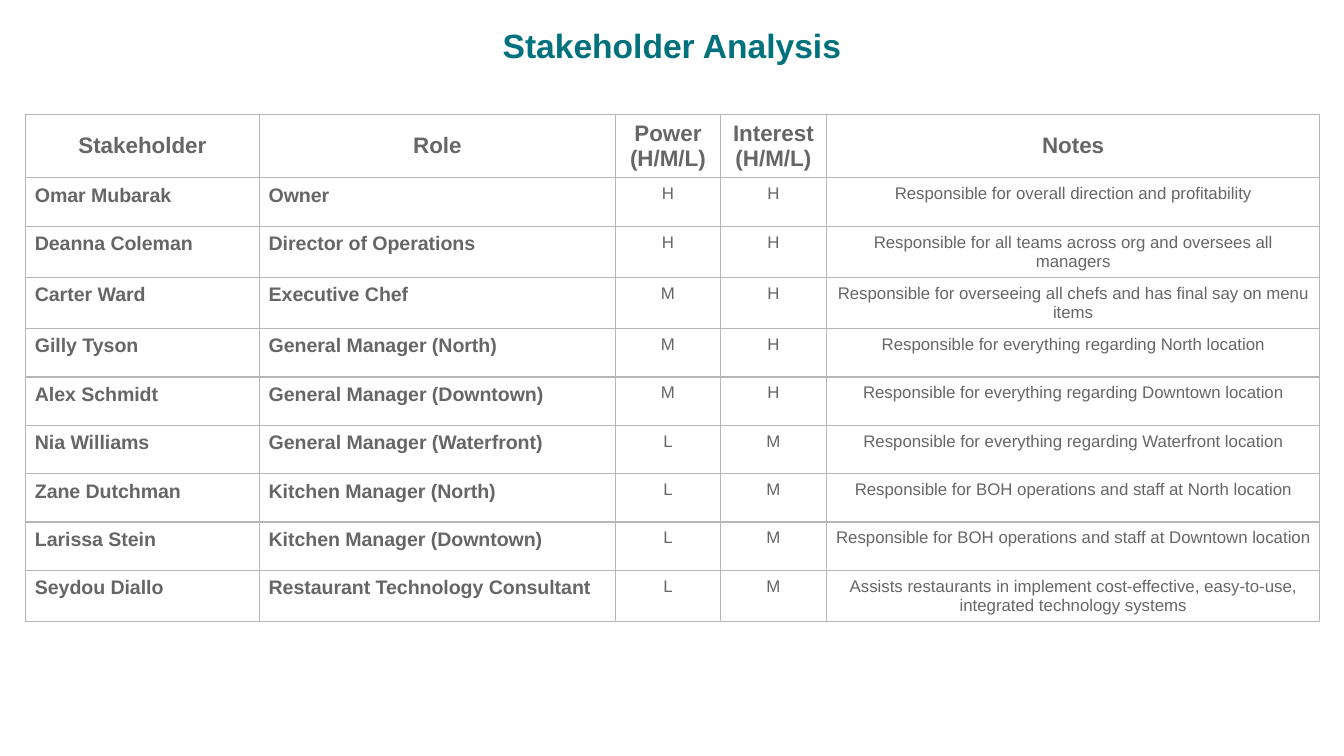
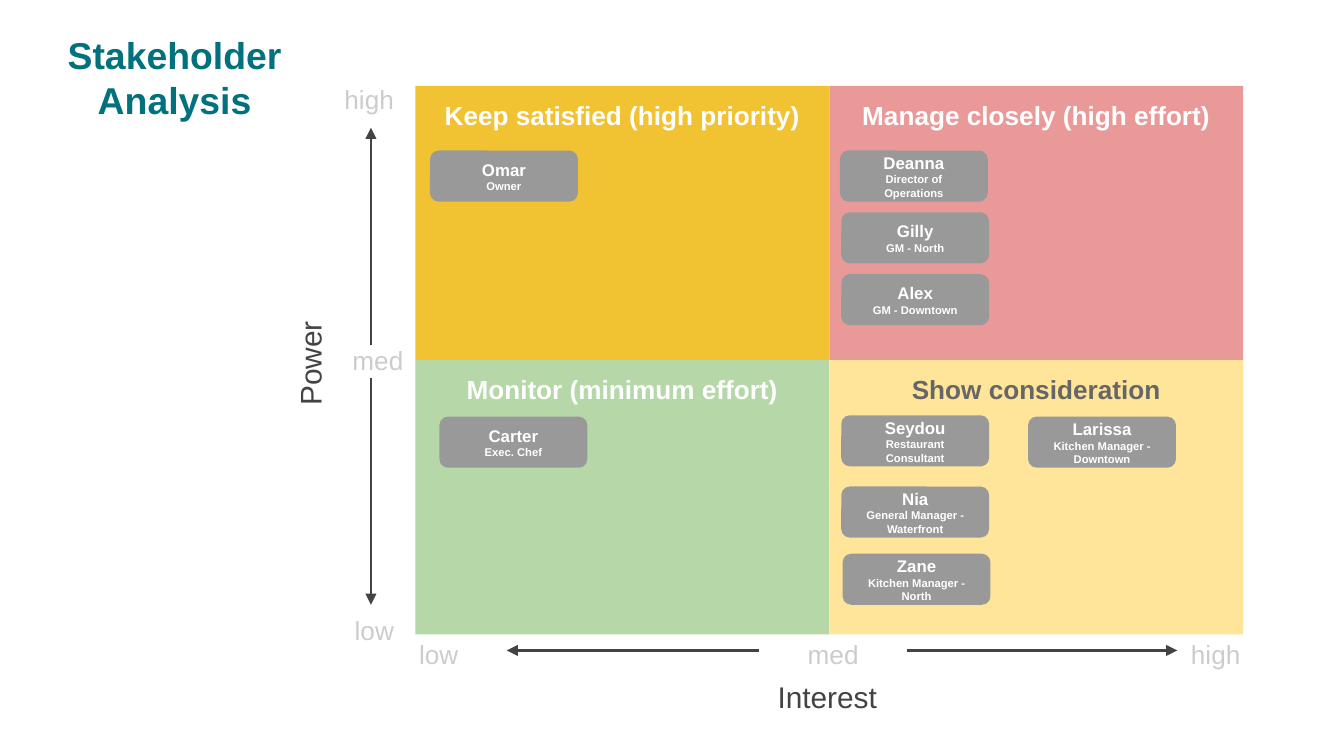
from lxml import etree
from pptx import Presentation
from pptx.dml.color import RGBColor
from pptx.enum.shapes import MSO_CONNECTOR, MSO_SHAPE
from pptx.enum.text import MSO_ANCHOR, PP_ALIGN
from pptx.oxml.ns import qn
from pptx.util import Inches, Pt

LEFT, CENTER, RIGHT = PP_ALIGN.LEFT, PP_ALIGN.CENTER, PP_ALIGN.RIGHT
TOP, MIDDLE = MSO_ANCHOR.TOP, MSO_ANCHOR.MIDDLE
RECT, ROUNDED = MSO_SHAPE.RECTANGLE, MSO_SHAPE.ROUNDED_RECTANGLE
STRAIGHT = MSO_CONNECTOR.STRAIGHT

TEAL = RGBColor(0x00, 0x71, 0x7D)
DARK = RGBColor(0x43, 0x43, 0x43)
GRAY = RGBColor(0x66, 0x66, 0x66)
CARD_GRAY = RGBColor(0x99, 0x99, 0x99)
BORDER_GRAY = RGBColor(0xB7, 0xB7, 0xB7)
LABEL_GRAY = RGBColor(0xCC, 0xCC, 0xCC)
WHITE = RGBColor(0xFF, 0xFF, 0xFF)
GOLD = RGBColor(0xF1, 0xC2, 0x32)
ROSE = RGBColor(0xEA, 0x99, 0x99)
GREEN = RGBColor(0xB6, 0xD7, 0xA8)
CREAM = RGBColor(0xFF, 0xE5, 0x99)

SLIDE_W, SLIDE_H = 10, 5.625
FONT = "Arial"

# Text styles: size, bold, colour
TITLE = (18, True, TEAL)
MATRIX_TITLE = (20, True, TEAL)
TABLE_HEAD = (12, True, GRAY)
TABLE_NAME = (10.5, True, GRAY)
TABLE_BODY = (9, False, GRAY)
AXIS_NAME = (16, False, DARK)
AXIS_LABEL = (14, False, LABEL_GRAY)
CARD_NAME = (9, True, WHITE)
CARD_ROLE = (6, True, WHITE)

# Stakeholder table
COLUMN_WIDTHS = [1.74, 2.65, 0.78, 0.79, 3.67]
HEAD_HEIGHT, ROW_HEIGHT = 0.28, 0.36
HEADINGS = ["Stakeholder", "Role", "Power (H/M/L)", "Interest (H/M/L)", "Notes"]
STAKEHOLDERS = [
    ("Omar Mubarak", "Owner", "H", "H",
     "Responsible for overall direction and profitability"),
    ("Deanna Coleman", "Director of Operations", "H", "H",
     "Responsible for all teams across org and oversees all managers"),
    ("Carter Ward", "Executive Chef", "M", "H",
     "Responsible for overseeing all chefs and has final say on menu items"),
    ("Gilly Tyson", "General Manager (North)", "M", "H",
     "Responsible for everything regarding North location"),
    ("Alex Schmidt", "General Manager (Downtown)", "M", "H",
     "Responsible for everything regarding Downtown location"),
    ("Nia Williams", "General Manager (Waterfront)", "L", "M",
     "Responsible for everything regarding Waterfront location"),
    ("Zane Dutchman", "Kitchen Manager (North)", "L", "M",
     "Responsible for BOH operations and staff at North location"),
    ("Larissa Stein", "Kitchen Manager (Downtown)", "L", "M",
     "Responsible for BOH operations and staff at Downtown location"),
    ("Seydou Diallo", "Restaurant Technology Consultant", "L", "M",
     "Assists restaurants in implement cost-effective, easy-to-use, "
     "integrated technology systems"),
]

# Power and interest matrix; cards are placed from their quadrant's corner
MATRIX_X, MATRIX_Y = 3.09, 0.64
QUAD_W, QUAD_H = 3.08, 2.04
CARD_W, CARD_H = 1.1, 0.38
QUADRANTS = [
    (0, 0, "Keep satisfied (high priority)", GOLD, WHITE,
     [(0.11, 0.48, "Omar", "Owner")]),
    (1, 0, "Manage closely (high effort)", ROSE, WHITE,
     [(0.08, 0.48, "Deanna", "Director of Operations"),
      (0.09, 0.94, "Gilly", "GM - North"),
      (0.09, 1.4, "Alex", "GM - Downtown")]),
    (0, 1, "Monitor (minimum effort)", GREEN, WHITE,
     [(0.18, 0.42, "Carter", "Exec. Chef")]),
    (1, 1, "Show consideration", CREAM, GRAY,
     [(0.09, 0.41, "Seydou", "Restaurant Consultant"),
      (0.09, 0.94, "Nia", "General Manager - Waterfront"),
      (0.1, 1.44, "Zane", "Kitchen Manager - North"),
      (1.48, 0.42, "Larissa", "Kitchen Manager - Downtown")]),
]
POWER_X = 2.76
INTEREST_Y = 4.84
ARROWS = [
    (POWER_X, 2.57, POWER_X, 0.95),
    (POWER_X, 2.81, POWER_X, 4.5),
    (6.75, INTEREST_Y, 8.76, INTEREST_Y),
    (5.65, INTEREST_Y, 3.77, INTEREST_Y),
]
LEVELS = [
    ("high", (1.7, 0.52, 1.33, 0.26), RIGHT),
    ("med", (2.42, 2.46, 0.68, 0.44), RIGHT),
    ("low", (1.7, 4.47, 1.33, 0.26), RIGHT),
    ("low", (2.76, 4.65, 1.01, 0.38), CENTER),
    ("med", (5.65, 4.65, 1.1, 0.38), CENTER),
    ("high", (8.54, 4.65, 1.01, 0.38), CENTER),
]


def inches(values):
    return [Inches(value) for value in values]


def write(frame, lines, align=CENTER, spacing=None):
    """Fill a text frame with (text, style) lines, one paragraph each."""
    for index, (text, (size, bold, color)) in enumerate(lines):
        paragraph = frame.add_paragraph() if index else frame.paragraphs[0]
        paragraph.alignment = align
        if spacing:
            paragraph.line_spacing = spacing
        run = paragraph.add_run()
        run.text = text
        looks = {"name": FONT, "size": Pt(size), "bold": bold}
        for attribute, value in looks.items():
            setattr(run.font, attribute, value)
        run.font.color.rgb = color


def set_frame(frame, anchor=TOP, inset_y=0.1):
    settings = {
        "word_wrap": True, "vertical_anchor": anchor,
        "margin_left": Inches(0.1), "margin_right": Inches(0.1),
        "margin_top": Inches(inset_y), "margin_bottom": Inches(inset_y),
    }
    for attribute, value in settings.items():
        setattr(frame, attribute, value)


def add_label(slide, box, lines, align=CENTER, anchor=TOP, inset_y=0.1,
              spacing=None, rotation=0):
    label = slide.shapes.add_textbox(*inches(box))
    label.rotation = rotation
    set_frame(label.text_frame, anchor, inset_y)
    write(label.text_frame, lines, align, spacing)


def add_block(slide, outline, box, fill, lines, anchor=TOP):
    block = slide.shapes.add_shape(outline, *inches(box))
    block.shadow.inherit = False
    block.fill.solid()
    block.fill.fore_color.rgb = fill
    block.line.fill.background()
    set_frame(block.text_frame, anchor)
    write(block.text_frame, lines)


def add_arrow(slide, ends):
    arrow = slide.shapes.add_connector(STRAIGHT, *inches(ends))
    arrow.line.color.rgb = DARK
    arrow.line.width = Pt(1.5)
    line = arrow.line._get_or_add_ln()
    etree.SubElement(line, qn("a:tailEnd"), type="triangle")
    etree.SubElement(arrow._element.spPr, qn("a:effectLst"))


def set_borders(cell):
    properties = cell._tc.get_or_add_tcPr()
    for position, side in enumerate(("a:lnL", "a:lnR", "a:lnT", "a:lnB")):
        border = etree.Element(qn(side), w=str(Pt(0.75)))
        fill = etree.SubElement(border, qn("a:solidFill"))
        etree.SubElement(fill, qn("a:srgbClr"), val=str(BORDER_GRAY))
        properties.insert(position, border)


def add_cell(cell, text, style, align, anchor):
    settings = {
        "vertical_anchor": anchor,
        "margin_left": Inches(0.07), "margin_right": Inches(0.07),
        "margin_top": Inches(0.05), "margin_bottom": Inches(0.05),
    }
    for attribute, value in settings.items():
        setattr(cell, attribute, value)
    cell.fill.background()
    set_borders(cell)
    write(cell.text_frame, [(text, style)], align)


def add_stakeholder_table(slide):
    heights = [HEAD_HEIGHT] + [ROW_HEIGHT] * len(STAKEHOLDERS)
    box = inches((0.19, 0.85, sum(COLUMN_WIDTHS), sum(heights)))
    table = slide.shapes.add_table(len(heights), len(COLUMN_WIDTHS), *box).table
    table.first_row = table.horz_banding = False
    for column, width in zip(table.columns, COLUMN_WIDTHS):
        column.width = Inches(width)
    for row, height in zip(table.rows, heights):
        row.height = Inches(height)
    for column, heading in enumerate(HEADINGS):
        add_cell(table.cell(0, column), heading, TABLE_HEAD, CENTER, MIDDLE)
    for row, values in enumerate(STAKEHOLDERS, 1):
        for column, value in enumerate(values):
            style, align = (TABLE_NAME, LEFT) if column < 2 else (TABLE_BODY, CENTER)
            add_cell(table.cell(row, column), value, style, align, TOP)


def add_quadrant(slide, column, row, heading, fill, heading_color, cards):
    left, top = MATRIX_X + column * QUAD_W, MATRIX_Y + row * QUAD_H
    add_block(slide, RECT, (left, top, QUAD_W, QUAD_H), fill,
              [(heading, (14, True, heading_color))])
    for dx, dy, name, role in cards:
        add_block(slide, ROUNDED, (left + dx, top + dy, CARD_W, CARD_H), CARD_GRAY,
                  [(name, CARD_NAME), (role, CARD_ROLE)], MIDDLE)


def add_axes(slide):
    add_label(slide, (1.39, 2.53, 1.83, 0.35), [("Power", AXIS_NAME)],
              anchor=MIDDLE, rotation=270)
    add_label(slide, (5.41, 4.95, 1.49, 0.47), [("Interest", AXIS_NAME)])
    for text, box, align in LEVELS:
        add_label(slide, box, [(text, AXIS_LABEL)], align)
    for ends in ARROWS:
        add_arrow(slide, ends)


def main():
    deck = Presentation()
    deck.slide_width, deck.slide_height = inches((SLIDE_W, SLIDE_H))
    blank = deck.slide_layouts[6]

    # Slide 1: table of stakeholders
    overview = deck.slides.add_slide(blank)
    add_stakeholder_table(overview)
    add_label(overview, (0.83, 0.04, 8.34, 0.5),
              [("Stakeholder Analysis", TITLE)], spacing=1.15)

    # Slide 2: power and interest matrix
    matrix = deck.slides.add_slide(blank)
    for quadrant in QUADRANTS:
        add_quadrant(matrix, *quadrant)
    add_axes(matrix)
    add_label(matrix, (0.18, 0.19, 2.24, 0.77),
              [("Stakeholder", MATRIX_TITLE), ("Analysis", MATRIX_TITLE)],
              inset_y=0.05)

    deck.save("out.pptx")


if __name__ == "__main__":
    main()
